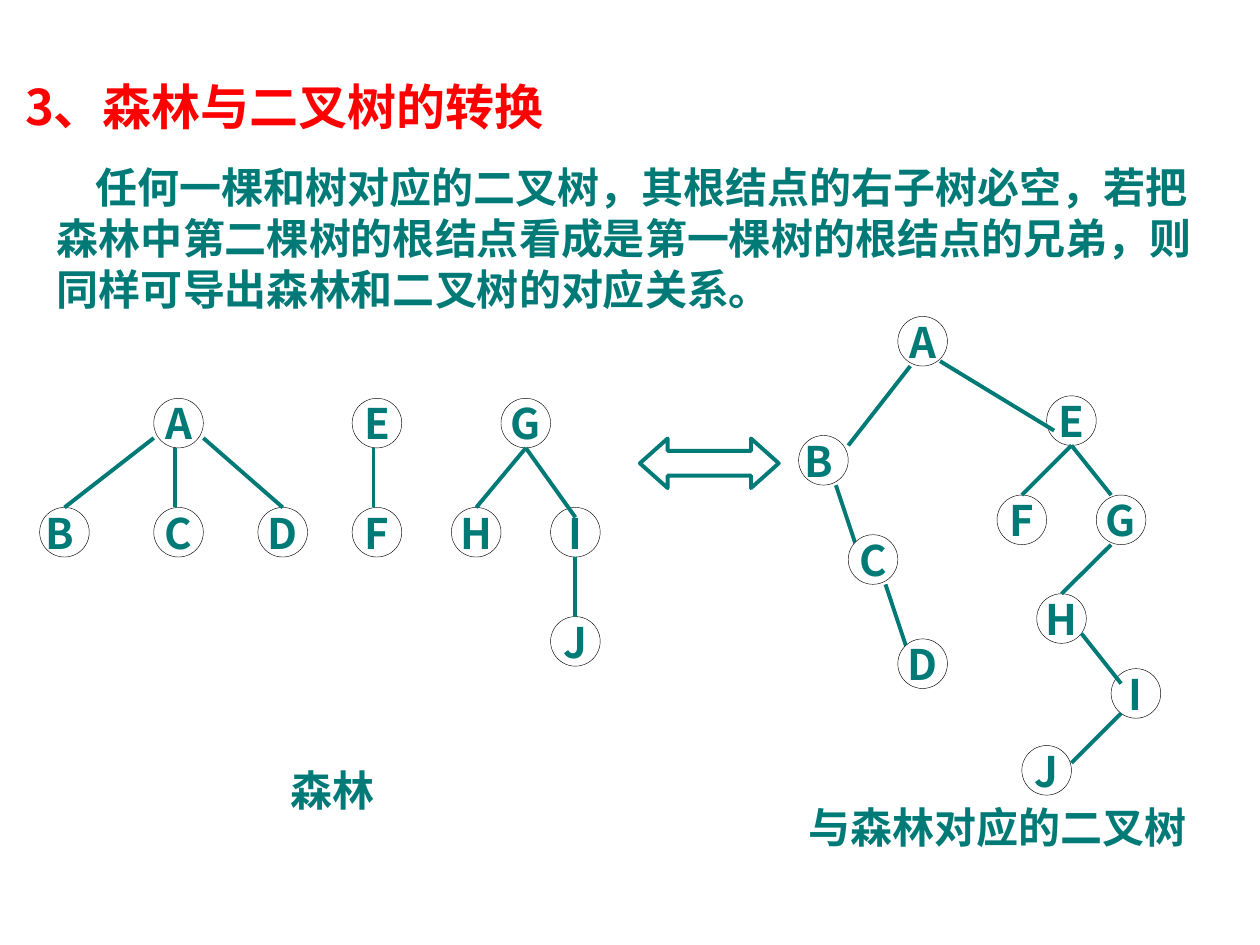
from lxml.etree import SubElement
from pptx import Presentation
from pptx.dml.color import RGBColor
from pptx.enum.shapes import MSO_CONNECTOR, MSO_SHAPE
from pptx.enum.text import MSO_ANCHOR, MSO_AUTO_SIZE, PP_ALIGN
from pptx.oxml.ns import qn
from pptx.util import Cm, Pt

FONT = "Noto Sans CJK SC"
TEAL, RED, WHITE, BLACK = "007A77", "FF0000", "FFFFFF", "000000"
NODE_SIZE = 1.0
BOTTOM, TOP = (0.5, 1), (0.5, 0)

TITLE = "3、森林与二叉树的转换"
EXPLANATION = (
    "任何一棵和树对应的二叉树，其根结点的右子树必空，若把森林中第二棵树的根结点"
    "看成是第一棵树的根结点的兄弟，则同样可导出森林和二叉树的对应关系。"
)
CAPTIONS = [
    ("森林", (1.8, 15.03, 9.8, 1.8), MSO_ANCHOR.MIDDLE),
    ("与森林对应的二叉树", (15.2, 16.03, 9.8, 1.8), MSO_ANCHOR.TOP),
]

ROOT_ROW, CHILD_ROW, LEAF_ROW = 8.03, 10.23, 12.43
FOREST = {
    "nodes": {
        "A": (3.1, ROOT_ROW), "E": (7.1, ROOT_ROW), "G": (10.1, ROOT_ROW),
        "B ": (0.8, CHILD_ROW), "C": (3.1, CHILD_ROW), "D": (5.2, CHILD_ROW),
        "F": (7.1, CHILD_ROW), "H": (9.1, CHILD_ROW), "I": (11.1, CHILD_ROW),
        "J": (11.1, LEAF_ROW),
    },
    "edges_behind": [],
    "edges_in_front": [
        ("A", "B ", (0, 0.8), TOP),
        ("A", "C", (0.43, 1), (0.43, 0)),
        ("A", "D", (1, 0.8), TOP),
        ("E", "F", (0.43, 1), (0.43, 0)),
        ("G", "H", BOTTOM, TOP),
        ("G", "I", BOTTOM, (0.5, 0.2)),
        ("I", "J", BOTTOM, TOP),
    ],
}
BINARY_TREE = {
    "nodes": {
        "A": (18.1, 6.38), "B ": (16.1, 8.78), "C": (17.1, 10.78), "D": (18.1, 12.88),
        "E": (21.1, 7.98), "F": (20.1, 9.98), "G": (22.1, 9.98),
        "H": (20.9, 11.97), "I": (22.4, 13.48), "J": (20.6, 15.03),
    },
    "edges_behind": [
        ("C", "D", (0.75, 1), (0.25, 0.4)),
        ("B ", "C", (0.75, 1), (0.25, 0.5)),
    ],
    "edges_in_front": [
        ("E", "F", BOTTOM, TOP),
        ("E", "G", BOTTOM, (0.3, 0)),
        ("G", "H", (0.3, 1), TOP),
        ("H", "I", (0.9, 0.8), (0.2, 0.3)),
        ("I", "J", (0.2, 0.9), (1, 0.35)),
        ("A", "B ", (0.25, 1), (1, 0.2)),
        ("A", "E", (0.85, 0.9), (0.15, 0.7)),
    ],
}


def rgb(hex_code):
    return RGBColor.from_string(hex_code)


def write(frame, text, anchor, align, size=24, color=TEAL, wrap=True):
    frame.text = text
    frame.word_wrap = wrap
    frame.auto_size = MSO_AUTO_SIZE.NONE
    frame.vertical_anchor = anchor
    paragraph = frame.paragraphs[0]
    paragraph.alignment = align
    run = paragraph.runs[0]
    run.font.size = Pt(size)
    run.font.bold = True
    run.font.color.rgb = rgb(color)
    run.font.name = FONT
    SubElement(run.font._element, qn("a:ea"), typeface=FONT)
    return paragraph


def outline(shape, color, width):
    shape.shadow.inherit = False
    shape.fill.solid()
    shape.fill.fore_color.rgb = rgb(WHITE)
    shape.line.color.rgb = rgb(color)
    shape.line.width = Pt(width)


def draw_edges(group, nodes, edges):
    for parent, child, start, end in edges:
        points = [
            Cm(round(corner + share * NODE_SIZE, 2))
            for name, anchor in ((parent, start), (child, end))
            for corner, share in zip(nodes[name], anchor)
        ]
        edge = group.shapes.add_connector(MSO_CONNECTOR.STRAIGHT, *points)
        edge.line.color.rgb = rgb(TEAL)
        edge.line.width = Pt(2.25)
        SubElement(edge._element.spPr, qn("a:effectLst"))


def draw_tree(slide, tree):
    group = slide.shapes.add_group_shape()
    nodes = tree["nodes"]
    draw_edges(group, nodes, tree["edges_behind"])
    for label, (left, top) in nodes.items():
        node = group.shapes.add_shape(
            MSO_SHAPE.OVAL, Cm(left), Cm(top), Cm(NODE_SIZE), Cm(NODE_SIZE))
        outline(node, BLACK, 0.25)
        write(node.text_frame, label, MSO_ANCHOR.MIDDLE, PP_ALIGN.CENTER, wrap=False)
    draw_edges(group, nodes, tree["edges_in_front"])


def main():
    deck = Presentation()
    deck.slide_width, deck.slide_height = Cm(25.4), Cm(19.05)
    slide = deck.slides.add_slide(deck.slide_layouts[5])

    title = slide.shapes.title
    title.left, title.top, title.width, title.height = Cm(0.25), Cm(1.42), Cm(16.85), Cm(1.42)
    write(title.text_frame, TITLE, MSO_ANCHOR.MIDDLE, PP_ALIGN.LEFT, 28, RED)

    explanation = slide.shapes.add_textbox(Cm(0.9), Cm(3.13), Cm(24.1), Cm(13.5))
    paragraph = write(explanation.text_frame, EXPLANATION, MSO_ANCHOR.TOP, PP_ALIGN.LEFT)
    paragraph.line_spacing = Pt(29)
    paragraph._p.get_or_add_pPr().set("indent", str(Cm(0.77)))

    draw_tree(slide, FOREST)
    draw_tree(slide, BINARY_TREE)

    arrow = slide.shapes.add_shape(
        MSO_SHAPE.LEFT_RIGHT_ARROW, Cm(12.9), Cm(8.84), Cm(2.8), Cm(1))
    arrow.adjustments[0], arrow.adjustments[1] = 0.5, 0.56
    outline(arrow, TEAL, 2.25)

    for text, position, anchor in CAPTIONS:
        caption = slide.shapes.add_textbox(*map(Cm, position))
        write(caption.text_frame, text, anchor, PP_ALIGN.CENTER)

    deck.save("out.pptx")


if __name__ == "__main__":
    main()
